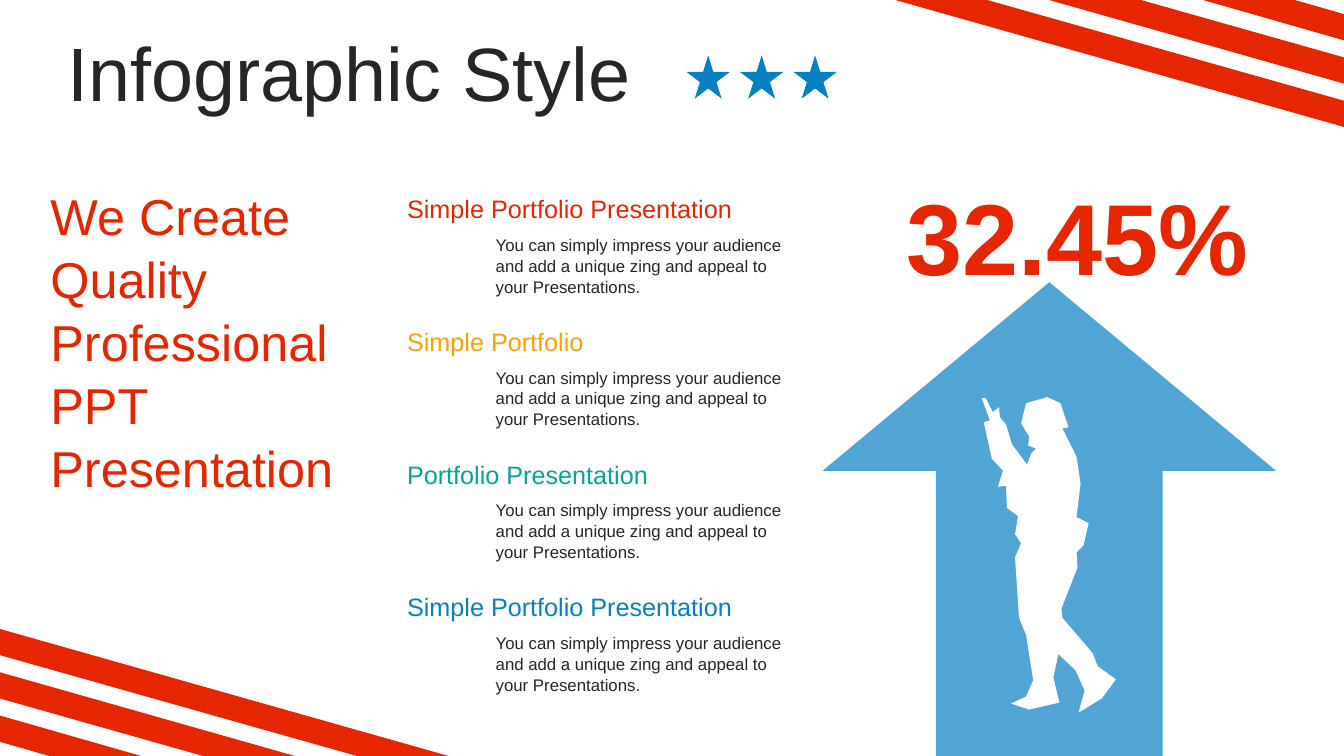
"""Build the infographic slide with a rising arrow and four portfolio notes."""
from lxml import etree
from pptx import Presentation, util as u
from pptx.dml.color import RGBColor
from pptx.enum import shapes, text
from pptx.oxml import ns

RED = RGBColor(0xE6, 0x26, 0x01)
AMBER = RGBColor(0xFB, 0xA2, 0x00)
TEAL = RGBColor(0x07, 0xA3, 0x98)
BLUE = RGBColor(0x06, 0x80, 0xC3)
INK = RGBColor(0x26, 0x26, 0x26)
WHITE = RGBColor(0xFF, 0xFF, 0xFF)

deck = Presentation()
deck.slide_width, deck.slide_height = u.Inches(13.333), u.Inches(7.5)
slide = deck.slides.add_slide(deck.slide_layouts[5])
canvas = slide.shapes


def share(*percents):
    """Turn alternating x and y percentages of the slide into lengths."""
    sides = (deck.slide_width, deck.slide_height) * 2
    return [u.Emu(round(side * percent / 100)) for side, percent in zip(sides, percents)]


def write(frame, lines, size, colour, spacing, align=text.PP_ALIGN.LEFT, bold=False):
    """Fill a text frame with evenly formatted paragraphs."""
    frame.word_wrap = True
    frame.text = "\n".join(lines)
    for paragraph in frame.paragraphs:
        paragraph.alignment = align
        paragraph.line_spacing = spacing
        paragraph.space_before = u.Pt(0)
        paragraph.font.name = "Arial"
        paragraph.font.size = u.Pt(size)
        paragraph.font.bold = bold
        paragraph.font.color.rgb = colour


title = slide.shapes.title
title.left, title.top, title.width, title.height = share(4.28, 4.93, 90.6, 10.53)
title.text_frame.vertical_anchor = text.MSO_ANCHOR.MIDDLE
write(title.text_frame, ["Infographic Style"], 54, INK, 0.9)

filled = []
for at_top_right in (False, True):
    stripes = None
    for band in range(3):
        end, start = 33.38 - 11.44 * band, 83.2 + 5.73 * band
        corners = [(0, start), (end, 100), (end - 6.83, 100), (0, start + 3.47)]
        if at_top_right:
            corners = [(100 - x, 100 - y) for x, y in corners]
        first, *others = [share(*corner) for corner in corners]
        if stripes is None:
            stripes = canvas.build_freeform(*first)
        else:
            stripes.move_to(*first)
        stripes.add_line_segments(others)
    filled.append((stripes.convert_to_shape(), RED))

for column in range(3):
    star = canvas.add_shape(shapes.MSO_SHAPE.STAR_5_POINT,
                            *share(51.08 + 3.98 * column, 7.33, 3.23, 5.73))
    filled.append((star, BLUE))

arrow = canvas.add_shape(shapes.MSO_SHAPE.UP_ARROW, *share(61.2, 37.33, 33.75, 62.67))
arrow.adjustments[0], arrow.adjustments[1] = 0.5, 0.416
filled.append((arrow, BLUE))

growth = canvas.add_textbox(*share(64.35, 21.87, 31.65, 17.47)).text_frame
write(growth, ["32.45%"], 72, RED, 1.04, text.PP_ALIGN.CENTER, True)

lead = canvas.add_textbox(*share(3.45, 24.8, 25.05, 40.4)).text_frame
lead.margin_left = lead.margin_right = u.Inches(0.04)
lead.margin_top = lead.margin_bottom = 0
lead.vertical_anchor = text.MSO_ANCHOR.MIDDLE
write(lead, ["We Create", "Quality Professional", "PPT Presentation"], 36, RED, 1.04)

NOTE = "You can simply impress your audience and add a unique zing and appeal to your Presentations."
topics = [
    ("Simple Portfolio Presentation", RED),
    ("Simple Portfolio", AMBER),
    ("Portfolio Presentation", TEAL),
    ("Simple Portfolio Presentation", BLUE),
]
for row, (topic, colour) in enumerate(topics):
    drop = 17.55 * row
    heading = canvas.add_textbox(*share(29.55, 25.73 + drop, 30.6, 4.53)).text_frame
    write(heading, [topic], 18, colour, 0.8)
    note = canvas.add_textbox(*share(36.15, 30.27 + drop, 24, 9.47)).text_frame
    write(note, [NOTE], 12, INK, 1.04)

soldier_outline = [
    (974, 395), (978, 395), (985, 409), (991, 404), (992, 414), (998, 421), (1004, 441),
    (1019, 461), (1023, 450), (1028, 445), (1020, 442), (1021, 433), (1013, 420),
    (1018, 400), (1039, 394), (1052, 400), (1060, 424), (1054, 425), (1060, 437),
    (1068, 453), (1072, 480), (1068, 513), (1080, 519), (1075, 541), (1068, 548),
    (1069, 563), (1053, 604), (1054, 613), (1084, 648), (1089, 661), (1107, 674),
    (1093, 693), (1070, 707), (1076, 685), (1067, 665), (1050, 649), (1045, 672),
    (1051, 697), (1021, 704), (1003, 698), (1018, 691), (1025, 675), (1018, 630),
    (1011, 613), (1007, 553), (1013, 539), (1007, 530), (1010, 512), (999, 504),
    (998, 482), (990, 483), (995, 467), (984, 455), (976, 419), (982, 417),
]
silhouette = canvas.build_freeform(*soldier_outline[0], scale=u.Inches(0.01))
silhouette.add_line_segments(soldier_outline[1:])
filled.append((silhouette.convert_to_shape(), WHITE))

for figure, colour in filled:
    figure.shadow.inherit = False
    figure.fill.solid()
    figure.fill.fore_color.rgb = colour
    figure.line.fill.background()

arrow_colour = arrow.element.find(".//" + ns.qn("a:srgbClr"))
etree.SubElement(arrow_colour, ns.qn("a:alpha"), val="70000")

deck.save("out.pptx")
